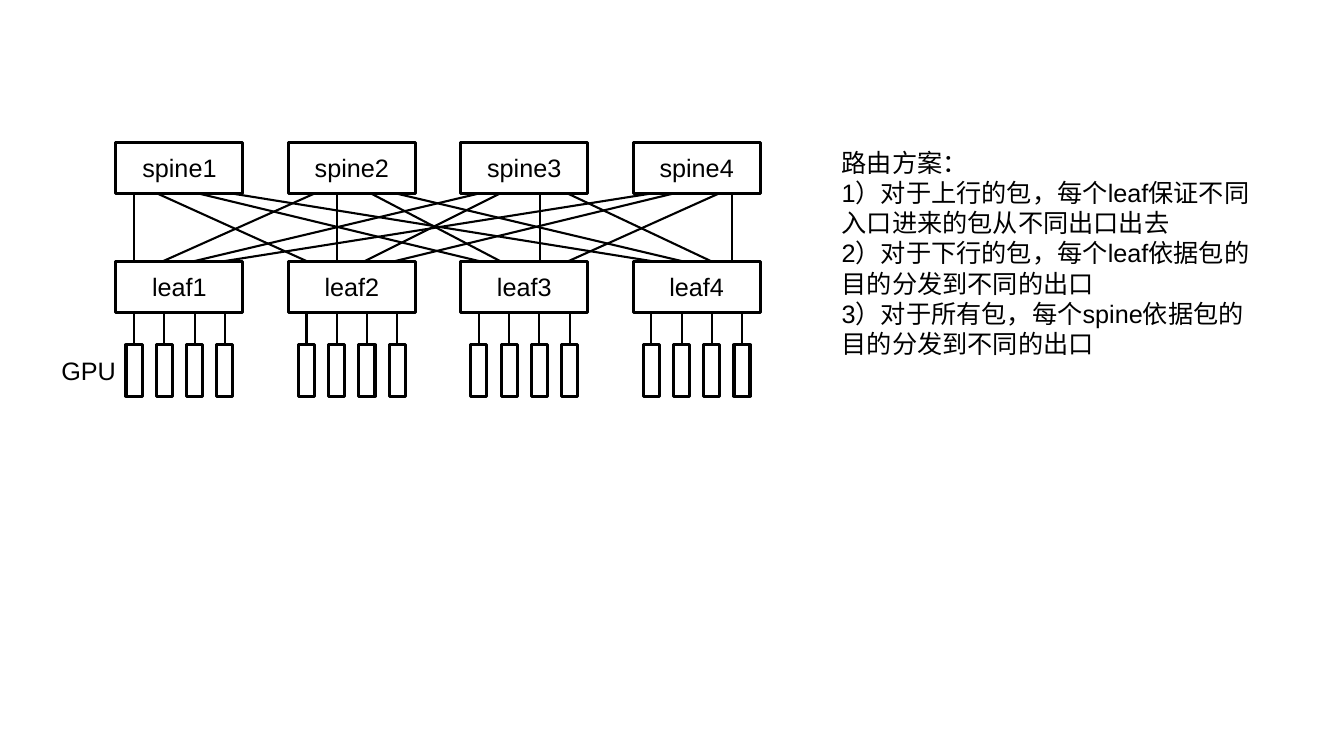
from lxml.etree import SubElement
from pptx import Presentation
from pptx.dml.color import RGBColor
from pptx.enum.shapes import MSO_CONNECTOR as Link, MSO_SHAPE as Form
from pptx.enum.text import MSO_ANCHOR as Anchor, MSO_AUTO_SIZE as Fit, PP_ALIGN as Align
from pptx.oxml.ns import qn
from pptx.util import Inches, Pt

BLACK = RGBColor(0, 0, 0)
WHITE = RGBColor(255, 255, 255)
FONT = "Arial"
COUNT = 4
PITCH = 1.71
NODE_W, NODE_H = 1.26, 0.51
LEAF_DROP = 1.18
GPU_DROP = 2.01
GPU_W, GPU_STEP, GPU_PAD = 0.16, 0.3, 0.1
SPINE_PORTS = [
    (0.18, 0.41, 0.82, 1.15),
    (0.26, 0.48, 0.82, 1.07),
    (0.18, 0.39, 0.79, 1.06),
    (0.18, 0.4, 0.85, 0.98),
]
LEAF_PORTS = [
    (0.18, 0.47, 0.78, 1.08),
    (0.18, 0.48, 0.76, 1.06),
    (0.18, 0.39, 0.79, 1.07),
    (0.18, 0.48, 0.77, 0.98),
]
RULES = [
    "路由方案：",
    "1）对于上行的包，每个leaf保证不同入口进来的包从不同出口出去",
    "2）对于下行的包，每个leaf依据包的目的分发到不同的出口",
    "3）对于所有包，每个spine依据包的目的分发到不同的出口",
]


def add_run(para, text):
    run = para.add_run()
    run.text = text
    run.font.size = Pt(18)
    run.font.name = FONT
    run.font.color.rgb = BLACK


def add_box(group, left, top, width, label=""):
    box = group.shapes.add_shape(
        Form.RECTANGLE, Inches(left), Inches(top), Inches(width), Inches(NODE_H))
    box.shadow.inherit = False
    box.fill.solid()
    box.fill.fore_color.rgb = WHITE
    box.line.color.rgb = BLACK
    box.line.width = Pt(2.25)
    if label:
        box.text_frame.vertical_anchor = Anchor.MIDDLE
        para = box.text_frame.paragraphs[0]
        para.alignment = Align.CENTER
        add_run(para, label)
    return box


def add_line(group, x1, y1, x2, y2):
    line = group.shapes.add_connector(
        Link.STRAIGHT, Inches(x1), Inches(y1), Inches(x2), Inches(y2))
    line.line.color.rgb = BLACK
    line.line.width = Pt(1.5)
    SubElement(line._element.spPr, qn("a:effectLst"))
    return line


def add_tier(group, left, top, name):
    for i in range(COUNT):
        add_box(group, left + i * PITCH, top, NODE_W, f"{name}{i + 1}")


def add_gpus(group, left, top, base):
    for k in range(COUNT):
        x = left + GPU_PAD + k * GPU_STEP
        gpu = add_box(group, x, top, GPU_W)
        mid = x + GPU_W / 2
        line = add_line(group, mid, top, mid, base)
        line.begin_connect(gpu, 0)


def add_mesh(group, left, top, base):
    for s in range(COUNT):
        for f in range(COUNT):
            start = left + s * PITCH + SPINE_PORTS[s][f]
            end = left + f * PITCH + LEAF_PORTS[f][s]
            add_line(group, start, top, end, base)


def add_net(slide, left, top):
    group = slide.shapes.add_group_shape()
    leaf_top = top + LEAF_DROP
    add_tier(group, left, top, "spine")
    add_tier(group, left, leaf_top, "leaf")
    for i in range(COUNT):
        add_gpus(group, left + i * PITCH, top + GPU_DROP, leaf_top + NODE_H)
    add_mesh(group, left, top + NODE_H, leaf_top)


def add_text(slide, left, top, width, height, lines, wrap):
    area = slide.shapes.add_textbox(
        Inches(left), Inches(top), Inches(width), Inches(height))
    frame = area.text_frame
    frame.word_wrap = wrap
    frame.auto_size = Fit.SHAPE_TO_FIT_TEXT
    for i, text in enumerate(lines):
        para = frame.add_paragraph() if i else frame.paragraphs[0]
        add_run(para, text)


def main():
    deck = Presentation()
    deck.slide_width = Inches(13.33)
    deck.slide_height = Inches(7.5)
    slide = deck.slides.add_slide(deck.slide_layouts[6])
    add_net(slide, 1.15, 1.41)
    add_text(slide, 8.25, 1.41, 4.26, 2.22, RULES, True)
    add_text(slide, 0.51, 3.48, 0.75, 0.4, ["GPU"], False)
    deck.save("out.pptx")


if __name__ == "__main__":
    main()
